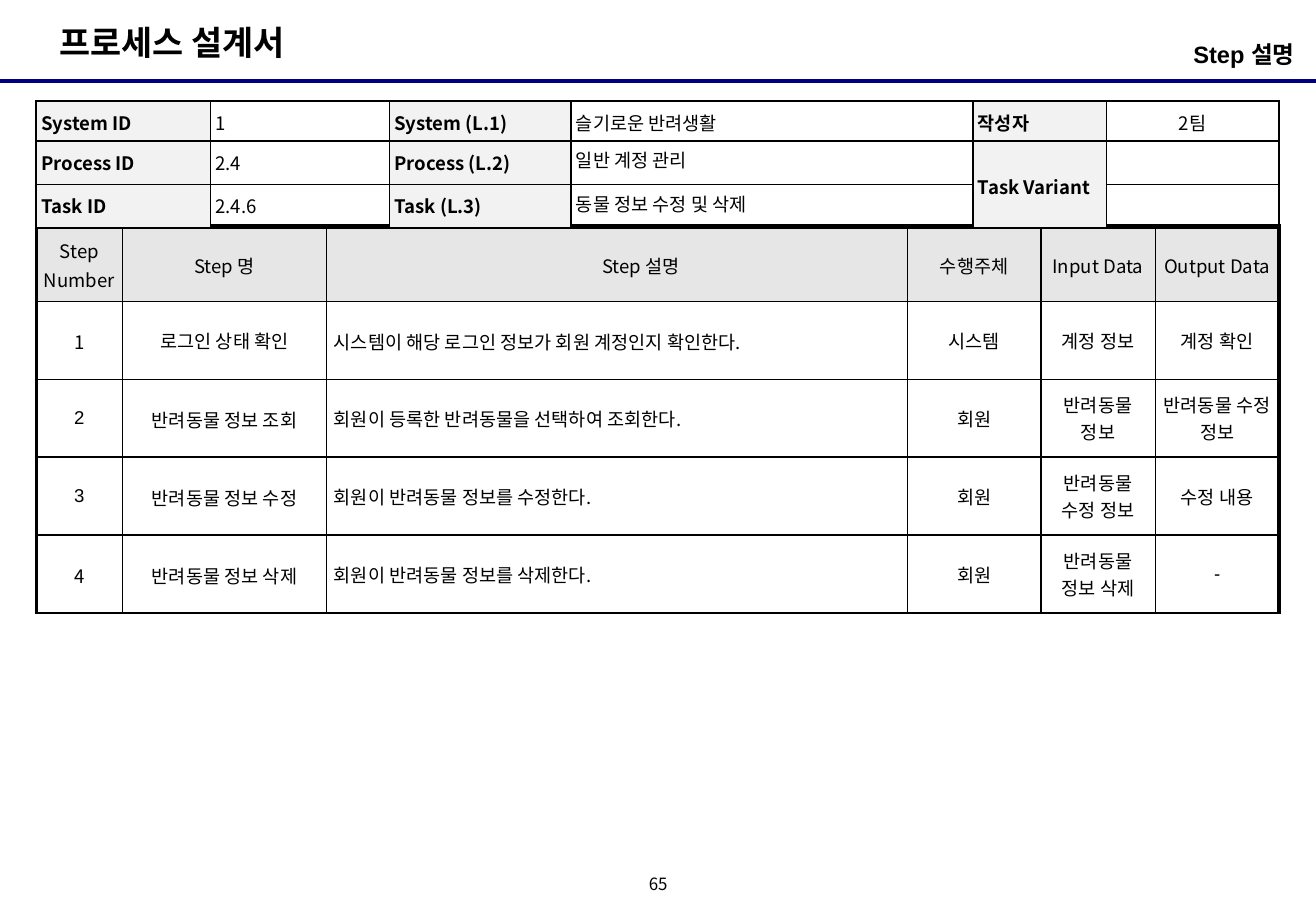
from dataclasses import dataclass

from lxml import etree
from pptx import Presentation
from pptx import util as u
from pptx.dml import color
from pptx.enum import shapes, text
from pptx.oxml import ns

Cm = u.Cm
COLORS = {
    "ink": "000000",
    "rule": "000080",
    "step_header": "E6E6E6",
    "info_label": "F2F2F2",
}
ARIAL = "Arial"
NOTO = "Noto Sans CJK KR"
LEFT, CENTER, RIGHT = text.PP_ALIGN.LEFT, text.PP_ALIGN.CENTER, text.PP_ALIGN.RIGHT
TOP, MIDDLE = text.MSO_ANCHOR.TOP, text.MSO_ANCHOR.MIDDLE


@dataclass
class Entry:
    words: str
    font: str = NOTO
    bold: bool = False
    align: text.PP_ALIGN = LEFT
    anchor: text.MSO_ANCHOR = MIDDLE
    spacing: float = 1.1
    indent: float = 0
    fill: str = ""


@dataclass
class Grid:
    left: float
    top: float
    widths: list[float]
    heights: list[float]
    pad_x: float
    edge: float
    rows: list[list[Entry]]
    bottom_edge: float


def rgb(name: str) -> color.RGBColor:
    return color.RGBColor.from_string(COLORS[name])


def write(frame, words: str, *, size: float = 11, font: str = NOTO, bold: bool = False,
          align=LEFT, spacing: float = 1.0, indent: float = 0) -> None:
    frame.word_wrap = True
    paragraph = frame.paragraphs[0]
    paragraph.alignment = align
    paragraph.line_spacing = spacing
    paragraph.space_before = u.Pt(0)
    if indent:
        paragraph._p.get_or_add_pPr().set("marL", str(Cm(indent)))
    paragraph.font.size = u.Pt(size)
    if not words:
        etree.SubElement(paragraph._p, ns.qn("a:endParaRPr")).set("sz", str(size * 100))
        return
    run = paragraph.add_run()
    run.text = words
    run.font.size = u.Pt(size)
    run.font.name = font
    run.font.bold = bold
    run.font.color.rgb = rgb("ink")
    east_asian = etree.Element(ns.qn("a:ea"), typeface=NOTO)
    run._r.rPr.find(ns.qn("a:latin")).addnext(east_asian)


def set_borders(cell, sides: dict[str, float]) -> None:
    properties = cell._tc.get_or_add_tcPr()
    for index, side in enumerate("LRTB"):
        line = etree.Element(ns.qn(f"a:ln{side}"), w=str(u.Pt(sides[side])))
        solid = etree.SubElement(line, ns.qn("a:solidFill"))
        etree.SubElement(solid, ns.qn("a:srgbClr"), val=COLORS["ink"])
        properties.insert(index, line)


def draw_grid(slide, grid: Grid):
    table = slide.shapes.add_table(
        len(grid.heights), len(grid.widths), Cm(grid.left), Cm(grid.top),
        Cm(sum(grid.widths)), Cm(sum(grid.heights))).table
    table.first_row = table.horz_banding = False
    for column, width in zip(table.columns, grid.widths):
        column.width = Cm(width)
    for row, height in zip(table.rows, grid.heights):
        row.height = Cm(height)
    last_row, last_column = len(grid.heights) - 1, len(grid.widths) - 1
    for r, entries in enumerate(grid.rows):
        for c, entry in enumerate(entries):
            cell = table.cell(r, c)
            cell.margin_left = cell.margin_right = Cm(grid.pad_x)
            cell.margin_top = cell.margin_bottom = Cm(0.1)
            cell.vertical_anchor = entry.anchor
            if entry.fill:
                cell.fill.solid()
                cell.fill.fore_color.rgb = rgb(entry.fill)
            else:
                cell.fill.background()
            set_borders(cell, {
                "L": grid.edge if c == 0 else 1,
                "R": grid.edge if c == last_column else 1,
                "T": grid.edge if r == 0 else 1,
                "B": grid.bottom_edge if r == last_row else 1,
            })
            write(cell.text_frame, entry.words, font=entry.font, bold=entry.bold,
                  align=entry.align, spacing=entry.spacing, indent=entry.indent)
    return table


def label(words: str, anchor=TOP) -> Entry:
    return Entry(words, bold=True, anchor=anchor, fill="info_label")


def value(words: str, spacing: float = 1.1) -> Entry:
    return Entry(words, anchor=TOP, spacing=spacing)


def header(words: str, indent: float = 0) -> Entry:
    return Entry(words, align=CENTER, indent=indent, fill="step_header")


def centered(words: str) -> Entry:
    return Entry(words, font=ARIAL, align=CENTER, spacing=1.0)


def spaced(words: str) -> Entry:
    return Entry(words, align=CENTER)


def place(shape, left: float, top: float, width: float, height: float,
          pad_x: float, pad_y: float, anchor=TOP):
    shape.left, shape.top, shape.width, shape.height = map(Cm, (left, top, width, height))
    frame = shape.text_frame
    frame.auto_size = text.MSO_AUTO_SIZE.NONE
    frame.margin_left = frame.margin_right = Cm(pad_x)
    frame.margin_top = frame.margin_bottom = Cm(pad_y)
    frame.vertical_anchor = anchor
    return frame


STEPS = Grid(0.76, 4.72, [1.8, 4.27, 12.14, 2.79, 2.39, 2.59], [1.58] + [1.63] * 4, 0.15, 2.25, [
    [header("Step Number"), header("Step 명"), header("Step 설명", indent=1),
     header("수행주체"), header("Input Data"), header("Output Data")],
    [spaced("1"), centered("로그인 상태 확인"),
     Entry("시스템이 해당 로그인 정보가 회원 계정인지 확인한다."),
     centered("시스템"), centered("계정 정보"), centered("계정 확인")],
    [centered("2"), spaced("반려동물 정보 조회"),
     Entry("회원이 등록한 반려동물을 선택하여 조회한다.", spacing=1.0),
     centered("회원"), centered("반려동물 정보"), centered("반려동물 수정 정보")],
    [centered("3"), spaced("반려동물 정보 수정"),
     Entry("회원이 반려동물 정보를 수정한다.", spacing=1.0),
     centered("회원"), centered("반려동물 수정 정보"), centered("수정 내용")],
    [spaced("4"), spaced("반려동물 정보 삭제"),
     Entry("회원이 반려동물 정보를 삭제한다.", spacing=1.0),
     centered("회원"), centered("반려동물 정보 삭제"), centered("-")],
], bottom_edge=1)

INFO = Grid(0.76, 2.12, [3.64, 3.74, 3.8, 8.4, 2.79, 3.6], [0.83, 0.91, 0.91], 0.1, 1.5, [
    [label("System ID"), value("1"), label("System (L.1)"), value("슬기로운 반려생활"),
     label("작성자", MIDDLE), spaced("2팀")],
    [label("Process ID"), value("2.4"), label("Process (L.2)"), value("일반 계정 관리", 1.0),
     label("Task Variant", MIDDLE), value("")],
    [label("Task ID"), value("2.4.6"), label("Task (L.3)"), value("동물 정보 수정 및 삭제", 1.0),
     label(""), value("")],
], bottom_edge=1.5)


def main() -> None:
    deck = Presentation()
    deck.slide_width, deck.slide_height = Cm(27.51), Cm(19.05)
    slide = deck.slides.add_slide(deck.slide_layouts.get_by_name("Section Header"))

    rule = slide.shapes.add_connector(
        shapes.MSO_CONNECTOR.STRAIGHT, 0, Cm(1.7), deck.slide_width, Cm(1.7))
    rule.line.color.rgb = rgb("rule")
    rule.line.width = u.Pt(2.25)
    etree.SubElement(rule._element.spPr, ns.qn("a:effectLst"))

    document = place(slide.shapes.title, 0.99, 0.33, 8, 1.12, 0.25, 0.13)
    write(document, "프로세스 설계서", size=20, font=ARIAL, bold=True)
    section = place(slide.placeholders[1], 18.77, 0.71, 8.41, 0.99, 0, 0.13)
    write(section, "Step 설명 ", size=14, font=ARIAL, bold=True, align=RIGHT)
    page_number = place(slide.shapes.add_textbox(0, 0, 0, 0),
                        13.34, 18.21, 0.84, 0.64, 0, 0, MIDDLE)
    write(page_number, "65", size=10, align=CENTER, spacing=0.8)

    draw_grid(slide, STEPS)
    info = draw_grid(slide, INFO)
    info.cell(1, 4).merge(info.cell(2, 4))

    deck.save("out.pptx")


if __name__ == "__main__":
    main()
